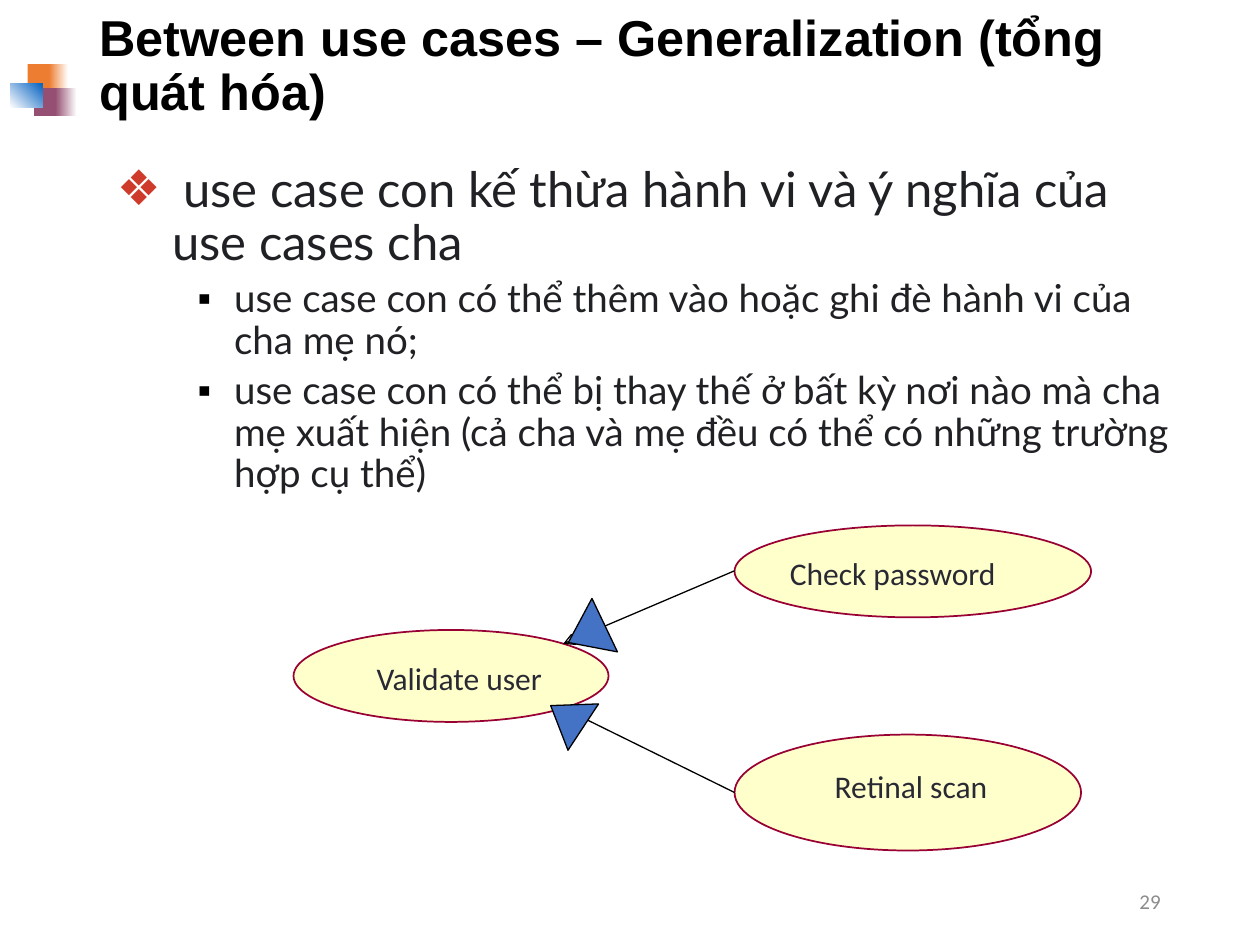
"""Build the slide on generalization between use cases."""
from lxml.etree import SubElement
from pptx import Presentation
from pptx.dml.color import RGBColor
from pptx.enum.shapes import MSO_CONNECTOR as Connector, MSO_SHAPE as Shape
from pptx.enum.text import MSO_ANCHOR as Anchor, PP_ALIGN as Align
from pptx.oxml.ns import qn
from pptx.util import Inches, Pt

TITLE = "Between use cases – Generalization (tổng quát hóa)"
PAGE_NUMBER = "29"
INK, BLACK = "202124", "000000"
MAIN = dict(indent=(0.44, -0.44), before=10, bullet="❖", bullet_color="CE3B2A", level=0)
SUB = dict(indent=(0.93, -0.29), before=5, bullet="▪", bullet_color=BLACK, level=1)
BODY = [
    (MAIN, [(" ", 28, "Calibri", BLACK),
            ("use case con kế thừa hành vi và ý nghĩa của use cases cha", 28, "Lato", INK)]),
    (SUB, [("use case con có thể thêm vào hoặc ghi đè hành vi của cha mẹ nó; ", 22, "Lato", INK)]),
    (SUB, [("use case con có thể bị thay thế ở bất kỳ nơi nào mà cha mẹ xuất hiện "
            "(cả cha và mẹ đều có thể có những trường hợp cụ thể)", 22, "Lato", INK),
           (" ", 1, "Calibri", BLACK)]),
]
LOGO_BLOCKS = [
    ((0.22, 0.51, 0.2, 0.22), ["ED7D31"], 0),
    ((0.39, 0.51, 0.15, 0.22), ["ED7D31", "FFFFFF"], 0),
    ((0.27, 0.7, 0.19, 0.22), ["954F72"], 0),
    ((0.44, 0.7, 0.17, 0.22), ["954F72", "FFFFFF"], 0),
    ((0.08, 0.66, 0.26, 0.19), ["FFFFFF", "0563C1"], 45),
]
USE_CASES = [
    ("Check password", (5.83, 4.17, 2.83, 0.73), (6.17, 4.35, 2.28, 0.44), Align.LEFT),
    ("Retinal scan", (5.83, 5.83, 2.75, 0.92), (6.14, 6.04, 2.18, 0.44), Align.CENTER),
    ("Validate user", (2.33, 5, 2.5, 0.73), (2.62, 5.18, 2.05, 0.44), Align.CENTER),
]
ARROWS = [(5.83, 4.53, 4.47, 5.11), (5.83, 6.29, 4.47, 5.62)]
TRIANGLES = [((4.42, 4.87, 0.47, 0.32), 244.5), ((4.28, 5.53, 0.44, 0.31), 303.4)]


def color(value):
    return RGBColor.from_string(value)


def inches(values):
    return [Inches(value) for value in values]


def add_figure(kind, area, fills, line=None, width=0.75, angle=0):
    figure = page.shapes.add_shape(kind, *inches(area))
    figure.shadow.inherit = False
    if len(fills) == 1:
        figure.fill.solid()
        figure.fill.fore_color.rgb = color(fills[0])
    else:
        figure.fill.gradient()
        figure.fill.gradient_angle = angle
        for stop, value in zip(figure.fill.gradient_stops, fills):
            stop.color.rgb = color(value)
    if line:
        figure.line.color.rgb = color(line)
        figure.line.width = Pt(width)
    else:
        figure.line.fill.background()
    return figure


def add_frame(area, anchor=Anchor.TOP):
    frame = page.shapes.add_textbox(*inches(area)).text_frame
    frame.word_wrap = True
    frame.vertical_anchor = anchor
    return frame


def set_font(font, size, name, value, bold=False):
    font.size, font.name, font.bold = Pt(size), name, bold
    font.color.rgb = color(value)


def add_label(text, area, size, name, value, align=Align.LEFT, anchor=Anchor.TOP, bold=False):
    para = add_frame(area, anchor).paragraphs[0]
    para.text, para.alignment = text, align
    set_font(para.font, size, name, value, bold)
    return para


def style_bullet(para, indent, before, bullet, bullet_color, level):
    para.level, para.line_spacing, para.space_before = level, 0.9, Pt(before)
    props = para._p.get_or_add_pPr()
    for key, value in zip(("marL", "indent"), indent):
        props.set(key, str(Inches(value)))
    SubElement(SubElement(props, qn("a:buClr")), qn("a:srgbClr"), val=bullet_color)
    SubElement(props, qn("a:buFont"), typeface="Arial")
    SubElement(props, qn("a:buChar"), char=bullet)


def add_arrow(ends):
    arrow = page.shapes.add_connector(Connector.STRAIGHT, *inches(ends))
    arrow.line.color.rgb = color(BLACK)
    arrow.line.width = Pt(0.75)
    SubElement(arrow.line._get_or_add_ln(), qn("a:tailEnd"), type="arrow")
    SubElement(arrow._element.spPr, qn("a:effectLst"))


deck = Presentation()
deck.slide_width, deck.slide_height = inches((10, 7.5))
page = deck.slides.add_slide(deck.slide_layouts[6])

for area, fills, angle in LOGO_BLOCKS:
    add_figure(Shape.RECTANGLE, area, fills, angle=angle)

title = add_label(TITLE, (0.69, 0.13, 8.62, 0.81), 28.8, "Arial", BLACK,
                  anchor=Anchor.MIDDLE, bold=True)
title.line_spacing = 0.9

body = add_frame((0.83, 1.26, 8.62, 5.66))
for index, (style, spans) in enumerate(BODY):
    para = body.add_paragraph() if index else body.paragraphs[0]
    style_bullet(para, **style)
    for text, *look in spans:
        span = para.add_run()
        span.text = text
        set_font(span.font, *look)

add_label(PAGE_NUMBER, (7.06, 6.95, 2.25, 0.4), 12, "Calibri", "8C8C8C",
          Align.RIGHT, Anchor.MIDDLE)

for name, oval, label, align in USE_CASES:
    add_figure(Shape.OVAL, oval, ["FFFFCC"], "990033", 1)
    add_label(name, label, 18, "Calibri", "292934", align)
for ends in ARROWS:
    add_arrow(ends)
for area, turn in TRIANGLES:
    add_figure(Shape.ISOSCELES_TRIANGLE, area, ["4472C4"], BLACK).rotation = turn

deck.save("out.pptx")
